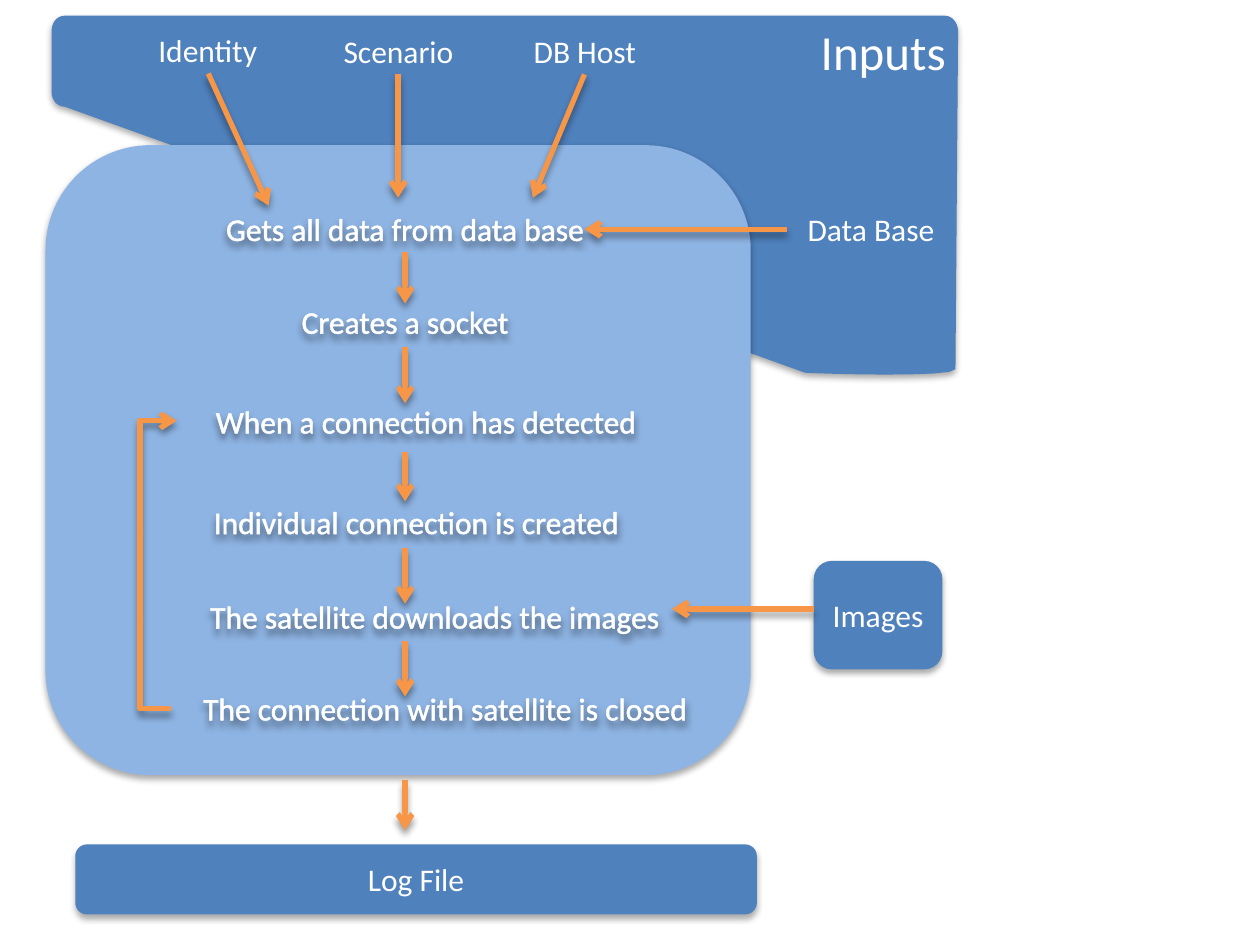
from lxml import etree
from pptx import Presentation
from pptx.dml.color import RGBColor
from pptx.enum.shapes import MSO_CONNECTOR, MSO_SHAPE
from pptx.enum.text import MSO_ANCHOR, PP_ALIGN
from pptx.oxml.ns import qn
from pptx.util import Pt

ROUNDED = MSO_SHAPE.ROUNDED_RECTANGLE
STRAIGHT, ELBOW = MSO_CONNECTOR.STRAIGHT, MSO_CONNECTOR.ELBOW
CENTER, RIGHT = PP_ALIGN.CENTER, PP_ALIGN.RIGHT
TOP, MIDDLE = MSO_ANCHOR.TOP, MSO_ANCHOR.MIDDLE

BLUE = RGBColor(0x4F, 0x81, 0xBD)
LIGHT_BLUE = RGBColor(0x8E, 0xB4, 0xE3)
ORANGE = RGBColor(0xF7, 0x96, 0x46)
WHITE = RGBColor(0xFF, 0xFF, 0xFF)

# Shadows: opacity in percent, blur and distance in points
SOFT_SHADOW = (32, 3.5, 2.2)
STRONG_SHADOW = (40, 4, 3)


def curve(start, control1, control2, end, steps=8):
    """Points along a cubic curve, without its start."""
    points = []
    for i in range(1, steps + 1):
        t = i / steps
        weights = ((1 - t) ** 3, 3 * t * (1 - t) ** 2, 3 * t * t * (1 - t), t ** 3)
        corners = (start, control1, control2, end)
        points.append(tuple(sum(w * c[axis] for w, c in zip(weights, corners))
                            for axis in (0, 1)))
    return points


class FlowSlide:
    font = "Calibri"
    size = 18
    arrow_width = 3

    def __init__(self, slide):
        self.slide = slide

    def shadow(self, item, opacity, blur, distance):
        properties = item._element.spPr
        effects = properties.find(qn("a:effectLst"))
        if effects is None:
            effects = etree.SubElement(properties, qn("a:effectLst"))
        outer = etree.SubElement(effects, qn("a:outerShdw"), blurRad=str(Pt(blur)),
                                 dist=str(Pt(distance)), dir="5400000",
                                 algn="ctr", rotWithShape="0")
        black = etree.SubElement(outer, qn("a:srgbClr"), val="000000")
        etree.SubElement(black, qn("a:alpha"), val=str(opacity * 1000))

    def paint(self, shape, fill, shadow):
        shape.shadow.inherit = False
        if fill is None:
            shape.fill.background()
        else:
            shape.fill.solid()
            shape.fill.fore_color.rgb = fill
        shape.line.fill.background()
        if shadow:
            self.shadow(shape, *shadow)

    def label(self, shape, text, size, align=CENTER, anchor=MIDDLE):
        frame = shape.text_frame
        frame.text = text
        frame.word_wrap = True
        frame.vertical_anchor = anchor
        paragraph = frame.paragraphs[0]
        paragraph.alignment = align
        run = paragraph.runs[0]
        run.font.name, run.font.size = self.font, Pt(size)
        run.font.color.rgb = WHITE
        return run

    def box(self, bounds, text="", fill=BLUE, shadow=None):
        shape = self.slide.shapes.add_shape(ROUNDED, *map(Pt, bounds))
        self.paint(shape, fill, shadow)
        return self.label(shape, text, self.size) if text else None

    def step(self, bounds, text):
        run = self.box(bounds, text, None, STRONG_SHADOW)
        outline = etree.Element(qn("a:ln"), w=str(Pt(1.45)))
        fill = etree.SubElement(outline, qn("a:solidFill"))
        etree.SubElement(fill, qn("a:srgbClr"), val=str(WHITE))
        run._r.get_or_add_rPr().insert(0, outline)

    def panel(self, outline, title):
        points = [(Pt(x), Pt(y)) for x, y in outline]
        builder = self.slide.shapes.build_freeform(*points[0])
        builder.add_line_segments(points[1:], close=True)
        shape = builder.convert_to_shape()
        self.paint(shape, BLUE, SOFT_SHADOW)
        self.label(shape, title, 28, RIGHT, TOP)

    def arrow(self, start, end, kind=STRAIGHT):
        link = self.slide.shapes.add_connector(kind, *map(Pt, start + end))
        link.line.color.rgb = ORANGE
        link.line.width = Pt(self.arrow_width)
        line = link._element.spPr.find(qn("a:ln"))
        etree.SubElement(line, qn("a:tailEnd"), type="arrow")
        self.shadow(link, *STRONG_SHADOW)
        return link

    def loop(self, start, end, turn_x):
        link = self.arrow(start, end, ELBOW)
        bend = (turn_x - start[0]) / (end[0] - start[0])
        adjustments = link._element.spPr.find(qn("a:prstGeom")).get_or_add_avLst()
        etree.SubElement(adjustments, qn("a:gd"), name="adj1",
                         fmla=f"val {round(bend * 100000)}")


def main():
    deck = Presentation()
    deck.slide_width, deck.slide_height = Pt(720), Pt(540)
    flow = FlowSlide(deck.slides.add_slide(deck.slide_layouts[6]))

    # Inputs panel, partly covered by the process
    flow.panel([
        (29.5, 18), *curve((29.5, 18), (29.5, 13), (32.5, 9), (37, 9)),
        (540, 9), *curve((540, 9), (544, 9), (547.5, 13), (547.5, 18)),
        (546, 211), *curve((546, 211), (546, 216), (464, 213.5), (460, 213)),
        (37, 61), *curve((37, 61), (32.5, 61), (29.5, 57), (29.5, 52.5)),
    ], "Inputs")
    flow.box((26, 83, 403, 360), fill=LIGHT_BLUE, shadow=SOFT_SHADOW)

    # Input labels
    for left, top, name in [(70.5, 15, "Identity"), (179.5, 16, "Scenario"),
                            (286, 16, "DB Host"), (449.5, 117.5, "Data Base")]:
        flow.box((left, top, 96.5, 26.5), name)

    # Process steps
    for left, top, width, height, text in [
        (108, 113, 247, 35, "Gets all data from data base"),
        (108, 163.5, 247, 40, "Creates a socket"),
        (101, 223, 285, 35, "When a connection has detected"),
        (91, 278.5, 294, 39, "Individual connection is created"),
        (101.5, 332.5, 294, 39, "The satellite downloads the images"),
        (98, 385, 313, 39, "The connection with satellite is closed"),
    ]:
        flow.step((left, top, width, height), text)

    # Image source and log output
    flow.box((465, 320.5, 73.5, 62), "Images", shadow=SOFT_SHADOW)
    flow.box((43, 482.5, 389.5, 40), "Log File", shadow=SOFT_SHADOW)

    # Arrows from the inputs and the images
    for start, end in [((119, 42), (153.5, 117.5)), ((227.5, 42.5), (227.5, 113)),
                       ((334, 42.5), (304.5, 113)), ((449.5, 131), (334, 131)),
                       ((465, 348), (384, 348))]:
        flow.arrow(start, end)

    # Arrows down the process to the log
    for top, bottom in [(144, 173.5), (198.5, 230.5), (258.5, 286.5),
                        (313, 345), (366.5, 398), (445.5, 474.5)]:
        flow.arrow((231.5, top), (231.5, bottom))

    # Back to waiting for the next connection
    flow.loop((98, 405), (101, 240.5), turn_x=80)

    deck.save("out.pptx")


if __name__ == "__main__":
    main()
